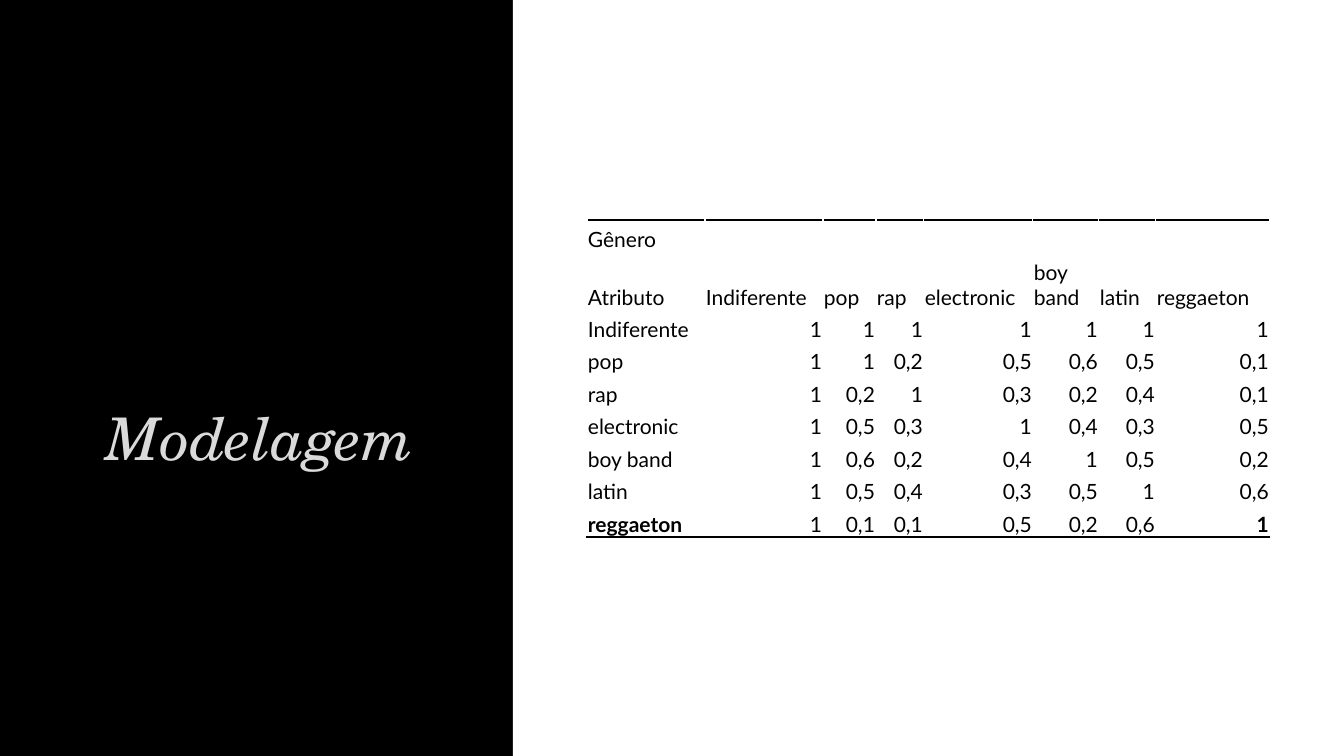
from lxml.etree import SubElement
from pptx import Presentation
from pptx.dml.color import RGBColor
from pptx.enum.shapes import MSO_SHAPE
from pptx.enum.text import MSO_ANCHOR, MSO_AUTO_SIZE, PP_ALIGN
from pptx.oxml.ns import qn
from pptx.util import Pt

PX = 914400 / 100.8


def px(*lengths):
    return [round(length * PX) for length in lengths]


def color(hex_code):
    return RGBColor.from_string(hex_code)


deck = Presentation()
deck.slide_width, deck.slide_height = px(1344, 756)
slide = deck.slides.add_slide(deck.slide_layouts[5])
slide.background.fill.solid()
slide.background.fill.fore_color.rgb = color("000000")

heading = slide.shapes.title
heading.left, heading.top, heading.width, heading.height = px(95, 92, 373, 386)
heading.text_frame.text = "Modelagem"
heading.text_frame.auto_size = MSO_AUTO_SIZE.NONE
heading.text_frame.vertical_anchor = MSO_ANCHOR.BOTTOM
heading_line = heading.text_frame.paragraphs[0]
heading_line.alignment = PP_ALIGN.LEFT
heading_line.line_spacing = 0.9
heading_line.font.name = "TeX Gyre Schola"
heading_line.font.size = Pt(42)
heading_line.font.italic = True
heading_line.font.color.rgb = color("DADADA")

panel = slide.shapes.add_shape(MSO_SHAPE.RECTANGLE, *px(513, 0, 831, 756))
panel.shadow.inherit = False
panel.fill.solid()
panel.fill.fore_color.rgb = color("FFFFFF")
panel.line.fill.background()

genres = ["Indiferente", "pop", "rap", "electronic", "boy band", "latin", "reggaeton"]
affinities = [
    ["1", "1", "1", "1", "1", "1", "1"],
    ["1", "1", "0,2", "0,5", "0,6", "0,5", "0,1"],
    ["1", "0,2", "1", "0,3", "0,2", "0,4", "0,1"],
    ["1", "0,5", "0,3", "1", "0,4", "0,3", "0,5"],
    ["1", "0,6", "0,2", "0,4", "1", "0,5", "0,2"],
    ["1", "0,5", "0,4", "0,3", "0,5", "1", "0,6"],
    ["1", "0,1", "0,1", "0,5", "0,2", "0,6", "1"],
]
rows = [["Gênero"] + [""] * len(genres), ["Atributo"] + genres]
rows += [[genre] + values for genre, values in zip(genres, affinities)]
column_widths = [118, 118, 53, 48, 109, 66, 57, 114]
row_heights = [32, 58, 32, 32, 33, 32, 33, 32, 33]
last_row, last_column = len(rows) - 1, len(genres)
rule_sides = {0: "a:lnT", last_row: "a:lnB"}

matrix = slide.shapes.add_table(
    len(rows), len(column_widths),
    *px(587, 220, sum(column_widths), sum(row_heights))).table
matrix.first_row = False
matrix.horz_banding = False
for column, width in zip(matrix.columns, px(*column_widths)):
    column.width = width
for row, height in zip(matrix.rows, px(*row_heights)):
    row.height = height

for r, texts in enumerate(rows):
    for c, text in enumerate(texts):
        cell = matrix.cell(r, c)
        cell.text = text
        cell.margin_left, cell.margin_right, cell.margin_top, cell.margin_bottom = px(1, 1, 1, 0)
        cell.vertical_anchor = MSO_ANCHOR.BOTTOM
        entry = cell.text_frame.paragraphs[0]
        entry.alignment = PP_ALIGN.RIGHT if r > 1 and c > 0 else PP_ALIGN.LEFT
        entry.font.name = "Lato"
        entry.font.size = Pt(15)
        entry.font.bold = r == last_row and c in (0, last_column)
        entry.font.color.rgb = color("000000")
        if r in rule_sides:
            rule = SubElement(cell._tc.get_or_add_tcPr(), qn(rule_sides[r]), w=str(Pt(2)))
            rule_fill = SubElement(rule, qn("a:solidFill"))
            SubElement(rule_fill, qn("a:srgbClr"), val="000000")
        cell.fill.solid()
        cell.fill.fore_color.rgb = color("FFFFFF")

deck.save("out.pptx")
